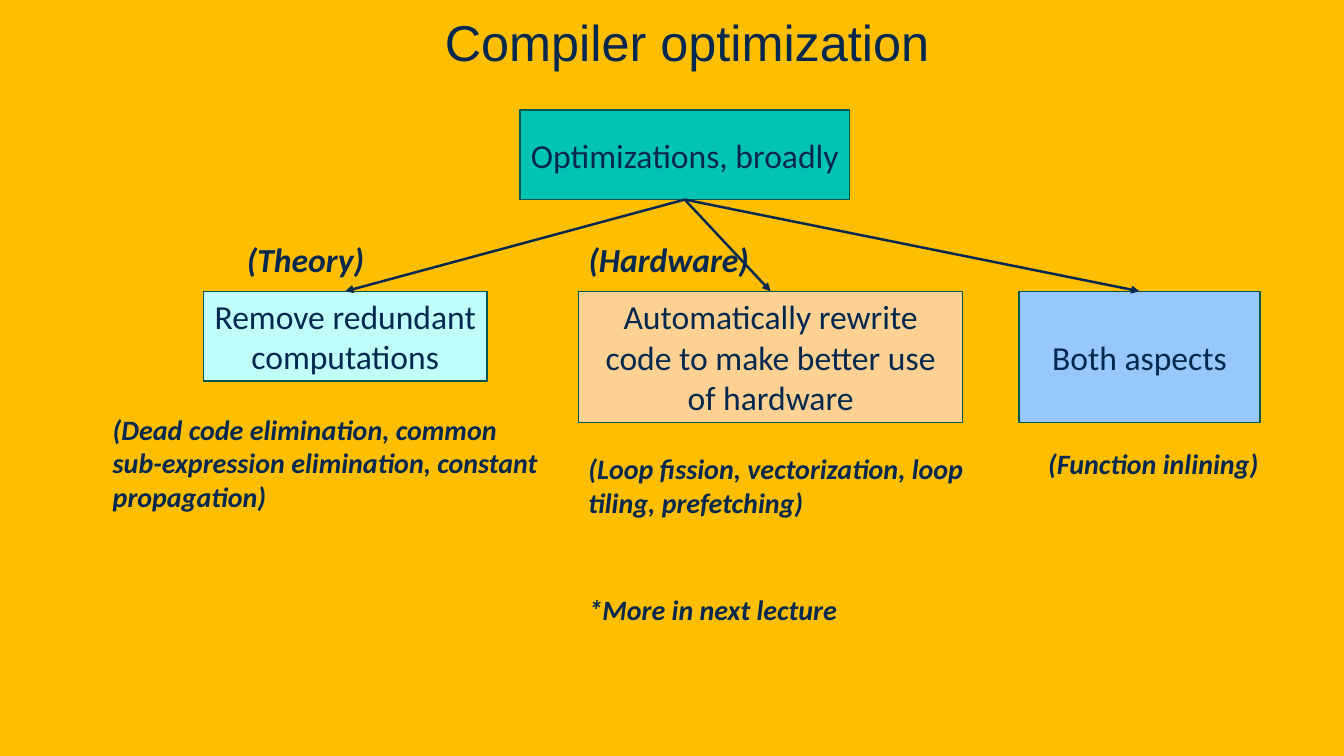
from lxml.etree import SubElement
from pptx import Presentation
from pptx.dml.color import RGBColor
from pptx.enum.shapes import MSO_CONNECTOR, MSO_SHAPE
from pptx.enum.text import MSO_ANCHOR, MSO_AUTO_SIZE, PP_ALIGN
from pptx.oxml.ns import qn
from pptx.util import Inches, Pt

WIDTH, HEIGHT = Inches(13.333), Inches(7.5)
COLUMNS, ROWS = 40, 30
COLORS = {
    "background": "FFBE00",
    "ink": "022850",
    "outline": "00564E",
    "root": "00C4B2",
    "theory": "C0FFF9",
    "hardware": "FFD193",
    "both": "97C8FC",
}
BOTTOM, TOP = 2, 0
BRANCH_ROW, LABEL_ROW = 11.56, 9.28
HARDWARE_COLUMN = 17.22


def color(name):
    return RGBColor.from_string(COLORS[name])


def write(frame, text, size=24, font="Calibri", align=PP_ALIGN.LEFT,
          anchor=MSO_ANCHOR.TOP, emphasis=False, wrap=True):
    frame.word_wrap = wrap
    frame.vertical_anchor = anchor
    paragraph = frame.paragraphs[0]
    paragraph.alignment = align
    run = paragraph.add_run()
    run.text = text
    run.font.name = font
    run.font.size = Pt(size)
    run.font.bold = run.font.italic = emphasis
    run.font.color.rgb = color("ink")


class Diagram:
    """Places elements on a slide by grid column and row."""

    def __init__(self, slide):
        self.slide = slide
        slide.background.fill.solid()
        slide.background.fill.fore_color.rgb = color("background")

    def area(self, column, row, columns, rows):
        """Turn grid units into left, top, width and height."""
        return (round(column * WIDTH / COLUMNS), round(row * HEIGHT / ROWS),
                round(columns * WIDTH / COLUMNS), round(rows * HEIGHT / ROWS))

    def title(self, text, *cells):
        heading = self.slide.shapes.title
        heading.left, heading.top, heading.width, heading.height = self.area(*cells)
        heading.text_frame.margin_left = Inches(0.4)
        write(heading.text_frame, text, size=36, font="Arial",
              align=PP_ALIGN.CENTER, anchor=MSO_ANCHOR.BOTTOM)

    def box(self, text, fill, *cells):
        node = self.slide.shapes.add_shape(MSO_SHAPE.RECTANGLE, *self.area(*cells))
        node.shadow.inherit = False
        node.fill.solid()
        node.fill.fore_color.rgb = color(fill)
        node.line.color.rgb = color("outline")
        node.line.width = Pt(1)
        write(node.text_frame, text, align=PP_ALIGN.CENTER, anchor=MSO_ANCHOR.MIDDLE)
        return node

    def arrow(self, parent, child):
        branch = self.slide.shapes.add_connector(MSO_CONNECTOR.STRAIGHT, 0, 0, 0, 0)
        branch.begin_connect(parent, BOTTOM)
        branch.end_connect(child, TOP)
        branch.line.color.rgb = color("ink")
        branch.line.width = Pt(1.75)
        SubElement(branch.line._get_or_add_ln(), qn("a:tailEnd"), type="triangle")
        SubElement(branch._element.spPr, qn("a:effectLst"))

    def remark(self, text, *cells, size=20, wrap=True):
        frame = self.slide.shapes.add_textbox(*self.area(*cells)).text_frame
        write(frame, text, size=size, emphasis=True, wrap=wrap)
        frame.auto_size = MSO_AUTO_SIZE.SHAPE_TO_FIT_TEXT


def main():
    deck = Presentation()
    deck.slide_width, deck.slide_height = WIDTH, HEIGHT
    diagram = Diagram(deck.slides.add_slide(deck.slide_layouts[5]))

    diagram.title("Compiler optimization", 0, 0, COLUMNS, 3.04)
    root = diagram.box("Optimizations, broadly", "root", 15.48, 4.36, 9.8, 3.56)

    branches = [
        ("Remove redundant computations", "theory", 6.06, 8.43, 3.56),
        ("Automatically rewrite code to make better use of hardware",
         "hardware", HARDWARE_COLUMN, 11.43, 5.2),
        ("Both aspects", "both", 30.33, 7.17, 5.2),
    ]
    for text, fill, column, columns, rows in branches:
        child = diagram.box(text, fill, column, BRANCH_ROW, columns, rows)
        diagram.arrow(root, child)

    examples = [
        ("(Dead code elimination, common sub-expression elimination, "
         "constant propagation)", 3.06, 16.16, 13.38, 4.44),
        ("(Loop fission, vectorization, loop tiling, prefetching)",
         HARDWARE_COLUMN, 17.72, 13.38, 3.08),
        ("(Function inlining)", 30.9, 17.52, 7.41, 1.76),
    ]
    for text, *cells in examples:
        diagram.remark(text, *cells)

    diagram.remark("(Theory)", 7.05, LABEL_ROW, 4.14, 2, size=24, wrap=False)
    diagram.remark("(Hardware)", HARDWARE_COLUMN, LABEL_ROW, 5.43, 2, size=24, wrap=False)
    diagram.remark("*More in next lecture", HARDWARE_COLUMN, 23.32, 8.04, 1.76, wrap=False)

    deck.save("out.pptx")


if __name__ == "__main__":
    main()
